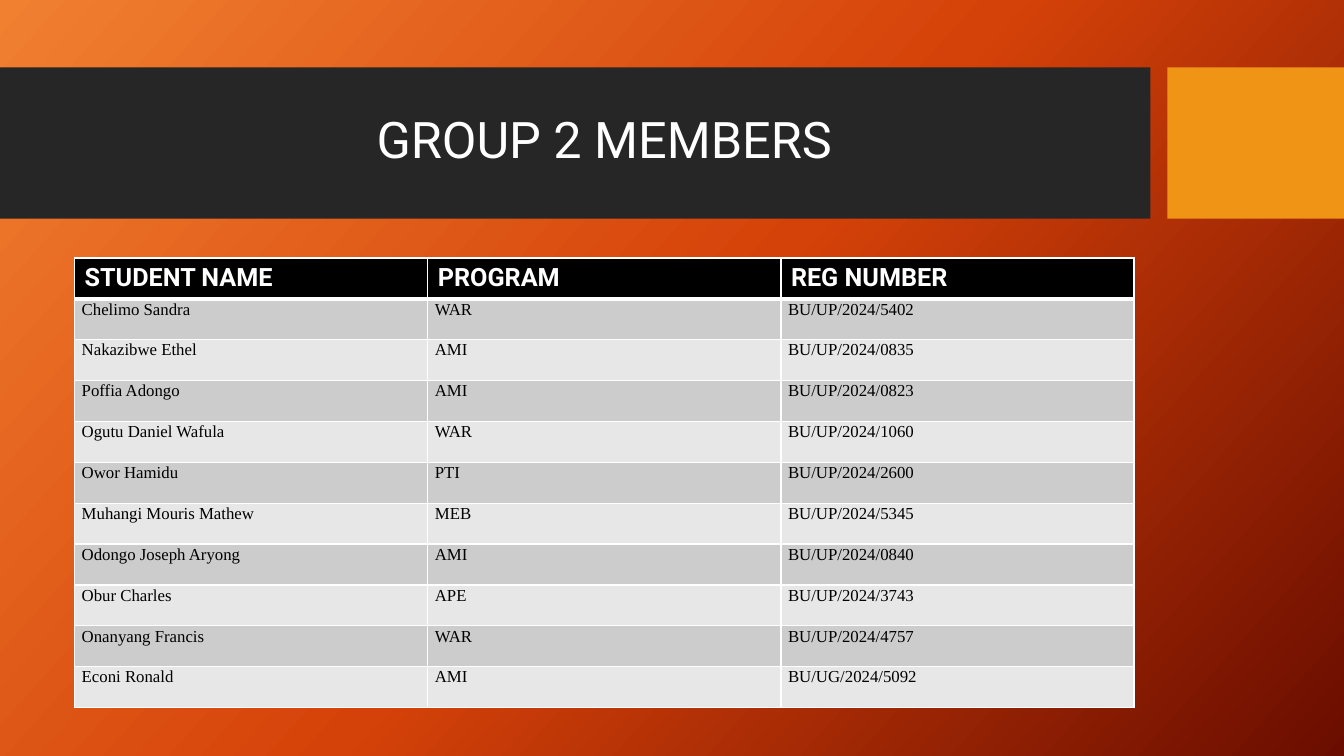
from copy import deepcopy

from pptx import Presentation
from pptx.dml.color import RGBColor
from pptx.enum.shapes import MSO_SHAPE as Shape
from pptx.enum.text import MSO_ANCHOR as Anchor, PP_ALIGN as Align
from pptx.oxml import parse_xml
from pptx.oxml.ns import nsdecls, qn
from pptx.util import Cm, Pt

WHITE = RGBColor(0xFF, 0xFF, 0xFF)
BLACK = RGBColor(0x00, 0x00, 0x00)
CHARCOAL = RGBColor(0x26, 0x26, 0x26)
AMBER = RGBColor(0xF0, 0x94, 0x15)
ROW_DARK = RGBColor(0xCC, 0xCC, 0xCC)
ROW_LIGHT = RGBColor(0xE7, 0xE7, 0xE7)
BACKDROP = (
    RGBColor(0xF1, 0x80, 0x31),
    RGBColor(0xD5, 0x42, 0x09),
    RGBColor(0x6A, 0x0D, 0x00),
)

HEADINGS = ("STUDENT NAME", "PROGRAM", "REG NUMBER")
MEMBERS = (
    ("Chelimo Sandra", "WAR", "BU/UP/2024/5402"),
    ("Nakazibwe Ethel", "AMI", "BU/UP/2024/0835"),
    ("Poffia Adongo", "AMI", "BU/UP/2024/0823"),
    ("Ogutu Daniel Wafula", "WAR", "BU/UP/2024/1060"),
    ("Owor Hamidu", "PTI", "BU/UP/2024/2600"),
    ("Muhangi Mouris Mathew", "MEB", "BU/UP/2024/5345"),
    ("Odongo Joseph Aryong", "AMI", "BU/UP/2024/0840"),
    ("Obur Charles", "APE", "BU/UP/2024/3743"),
    ("Onanyang Francis", "WAR", "BU/UP/2024/4757"),
    ("Econi Ronald", "AMI", "BU/UG/2024/5092"),
)


def write_text(frame, text, font="Roboto", size=18, color=WHITE, bold=False,
               align=Align.LEFT, line_spacing=1.0, space_after=0):
    para = frame.paragraphs[0]
    para.alignment = align
    para.line_spacing = line_spacing
    para.space_after = Pt(space_after)
    span = para.add_run()
    span.text = text
    span.font.name = font
    span.font.size = Pt(size)
    span.font.bold = bold
    span.font.color.rgb = color


def paint_background(page):
    fill = page.background.fill
    fill.gradient()
    fill.gradient_angle = 360 - 42
    stop_list = page.element.find(".//" + qn("a:gsLst"))
    stop_list.insert(1, deepcopy(stop_list[0]))
    for index, (stop, color) in enumerate(zip(fill.gradient_stops, BACKDROP)):
        stop.color.rgb = color
        stop.position = index / 2


def add_block(page, left, top, width, height, color):
    block = page.shapes.add_shape(Shape.RECTANGLE, left, top, width, height)
    block.shadow.inherit = False
    block.fill.solid()
    block.fill.fore_color.rgb = color
    block.line.fill.background()


def add_banner(page, left, top, width, height, text):
    accent_width = Cm(4.45)
    gap = Cm(0.43)
    add_block(page, left, top, width - accent_width - gap, height, CHARCOAL)
    add_block(page, left + width - accent_width, top, accent_width, height, AMBER)

    title = page.shapes.title
    title.left, title.top = left + Cm(1.88), top + Cm(0.38)
    title.width, title.height = Cm(26.7), Cm(3)
    page.shapes._spTree.append(title.element)
    title.text_frame.vertical_anchor = Anchor.MIDDLE
    title.text_frame.word_wrap = True
    write_text(title.text_frame, text, size=36, align=Align.CENTER, line_spacing=0.9)


def set_borders(cell, **widths):
    properties = cell._tc.get_or_add_tcPr()
    for index, side in enumerate("LRTB"):
        width = Pt(widths.get(side, 1))
        properties.insert(index, parse_xml(
            f'<a:ln{side} {nsdecls("a")} w="{width}"><a:solidFill>'
            f'<a:srgbClr val="{WHITE}"/></a:solidFill></a:ln{side}>'))


def add_members(page, left, top, width, height):
    rows = (HEADINGS, *MEMBERS)
    table = page.shapes.add_table(
        len(rows), len(HEADINGS), left, top, width, height).table
    table.horz_banding = False
    for row_index, values in enumerate(rows):
        for column_index, text in enumerate(values):
            cell = table.cell(row_index, column_index)
            cell.fill.solid()
            if row_index == 0:
                cell.fill.fore_color.rgb = BLACK
                write_text(cell.text_frame, text, bold=True)
                set_borders(cell, B=3)
                continue
            cell.fill.fore_color.rgb = ROW_DARK if row_index % 2 else ROW_LIGHT
            cell.margin_left = cell.margin_right = Cm(0.18)
            cell.margin_top = cell.margin_bottom = 0
            write_text(cell.text_frame, text, font="Times New Roman", size=12,
                       color=BLACK, align=Align.JUSTIFY, line_spacing=1.07,
                       space_after=8)
            set_borders(cell, T=3 if row_index == 1 else 1)


def main():
    deck = Presentation()
    deck.slide_width, deck.slide_height = Cm(33.87), Cm(19.05)
    page = deck.slides.add_slide(deck.slide_layouts[5])
    paint_background(page)
    add_banner(page, 0, Cm(1.7), deck.slide_width, Cm(3.81), "GROUP 2 MEMBERS")
    add_members(page, Cm(1.88), Cm(6.5), Cm(26.7), Cm(11.33))
    deck.save("out.pptx")


if __name__ == "__main__":
    main()
